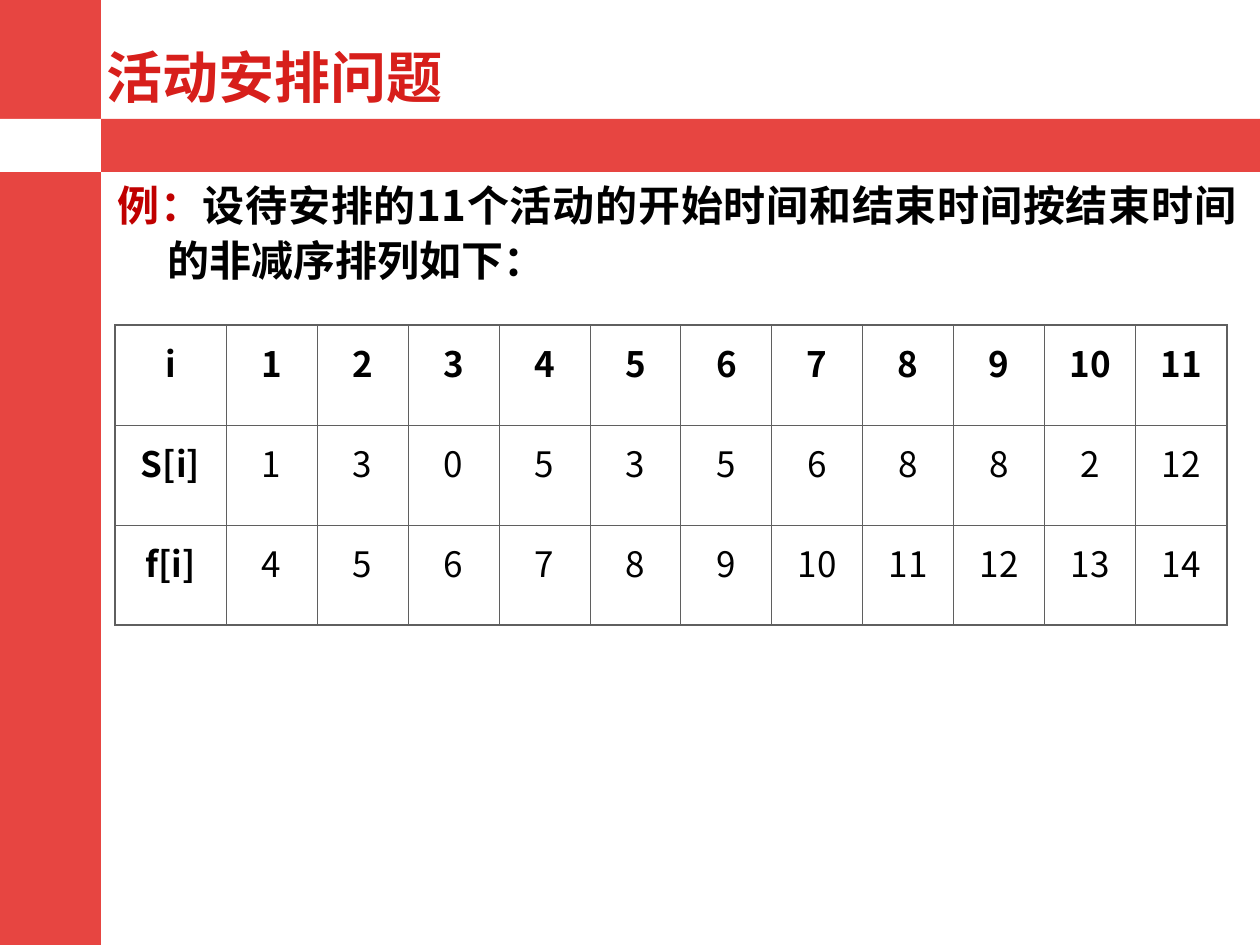
from dataclasses import dataclass

from lxml import etree
from pptx import Presentation
from pptx.dml.color import RGBColor
from pptx.enum.shapes import MSO_SHAPE
from pptx.enum.text import MSO_ANCHOR, MSO_AUTO_SIZE, PP_ALIGN
from pptx.oxml.ns import qn
from pptx.util import Pt

RECTANGLE = MSO_SHAPE.RECTANGLE
BOTTOM = MSO_ANCHOR.BOTTOM
NO_AUTOFIT = MSO_AUTO_SIZE.NONE
LEFT, CENTER, JUSTIFY = PP_ALIGN.LEFT, PP_ALIGN.CENTER, PP_ALIGN.JUSTIFY
EMU_PER_PX = 914400 / 126


@dataclass(frozen=True)
class Theme:
    band: str = "E74541"
    paper: str = "FFFFFF"
    title: str = "D71F1B"
    label: str = "C00000"
    ink: str = "000000"
    grid: str = "5F5F5F"
    text_font: str = "Noto Sans CJK SC"
    table_font: str = "Noto Sans CJK JP"
    title_size: int = 32
    body_size: int = 24
    table_size: int = 20
    inner_line: float = 0.45
    outer_line: float = 1.08


theme = Theme()


def px(*lengths):
    return [round(length * EMU_PER_PX) for length in lengths]


def format_run(span, font_name, size, color, bold=True):
    span.font.name = font_name
    span.font.size = Pt(size)
    span.font.bold = bold
    span.font.color.rgb = RGBColor.from_string(color)
    east_asian = etree.SubElement(span.font._element, qn("a:ea"))
    east_asian.set("typeface", font_name)


deck = Presentation()
deck.slide_width, deck.slide_height = px(1260, 945)
page = deck.slides.add_slide(deck.slide_layouts[5])
title = page.shapes.title

# Red bands with a white crossing, behind the title
bands = [
    (0, -4, 101, 949, theme.band),
    (0, 119, 1260, 53, theme.band),
    (0, 119, 101, 53, theme.paper),
]
for left, top, width, height, color in bands:
    band = page.shapes.add_shape(RECTANGLE, *px(left, top, width, height))
    band.shadow.inherit = False
    band.fill.solid()
    band.fill.fore_color.rgb = RGBColor.from_string(color)
    band.line.fill.background()
    title.element.addprevious(band.element)

# Title
title.left, title.top, title.width, title.height = px(94, 10, 577, 107)
title.text_frame.text = "活动安排问题"
title.text_frame.auto_size = NO_AUTOFIT
title.text_frame.vertical_anchor = BOTTOM
para = title.text_frame.paragraphs[0]
para.alignment = LEFT
para.line_spacing = 0.9
format_run(para.runs[0], theme.text_font, theme.title_size, theme.title)

# Problem statement with a hanging indent
box = page.shapes.add_textbox(*px(105, 168, 1144, 150))
box.text_frame.word_wrap = True
para = box.text_frame.paragraphs[0]
para.alignment = JUSTIFY
para.line_spacing = 1.1
para.space_before = Pt(10.1)
indent = px(50)[0]
para_props = para._p.get_or_add_pPr()
para_props.set("marL", str(indent))
para_props.set("indent", str(-indent))
statement = [
    ("例：", theme.label),
    ("设待安排的11个活动的开始时间和结束时间按结束时间的非减序排列如下：", theme.ink),
]
for wording, color in statement:
    span = para.add_run()
    span.text = wording
    format_run(span, theme.text_font, theme.body_size, color)

# Table of start and finish times
rows = [
    ["i", *range(1, 12)],
    ["S[i]", 1, 3, 0, 5, 3, 5, 6, 8, 8, 2, 12],
    ["f[i]", 4, 5, 6, 7, 8, 9, 10, 11, 12, 13, 14],
]
last_row, last_column = len(rows) - 1, len(rows[0]) - 1
label_width, value_width, row_height = px(111, 91, 100)
table = page.shapes.add_table(
    len(rows), len(rows[0]), *px(115, 325, 1112, 300)
).table
table.first_row = False
table.horz_banding = False
for index, column in enumerate(table.columns):
    column.width = value_width if index else label_width
for table_row in table.rows:
    table_row.height = row_height

for r, values in enumerate(rows):
    for c, value in enumerate(values):
        cell = table.cell(r, c)
        cell.text_frame.text = str(value)
        para = cell.text_frame.paragraphs[0]
        para.alignment = CENTER
        para.line_spacing = 1.1
        para.space_before = Pt(10.1)
        format_run(para.runs[0], theme.table_font, theme.table_size,
                   theme.ink, bold=r == 0 or c == 0)

        # Borders: heavier around the outside of the grid
        cell_props = cell._tc.get_or_add_tcPr()
        sides = {"L": c == 0, "R": c == last_column,
                 "T": r == 0, "B": r == last_row}
        for side, is_outer in sides.items():
            weight = theme.outer_line if is_outer else theme.inner_line
            line = etree.SubElement(cell_props, qn(f"a:ln{side}"), w=str(Pt(weight)))
            fill = etree.SubElement(line, qn("a:solidFill"))
            etree.SubElement(fill, qn("a:srgbClr"), val=theme.grid)
        cell.fill.background()

deck.save("out.pptx")
